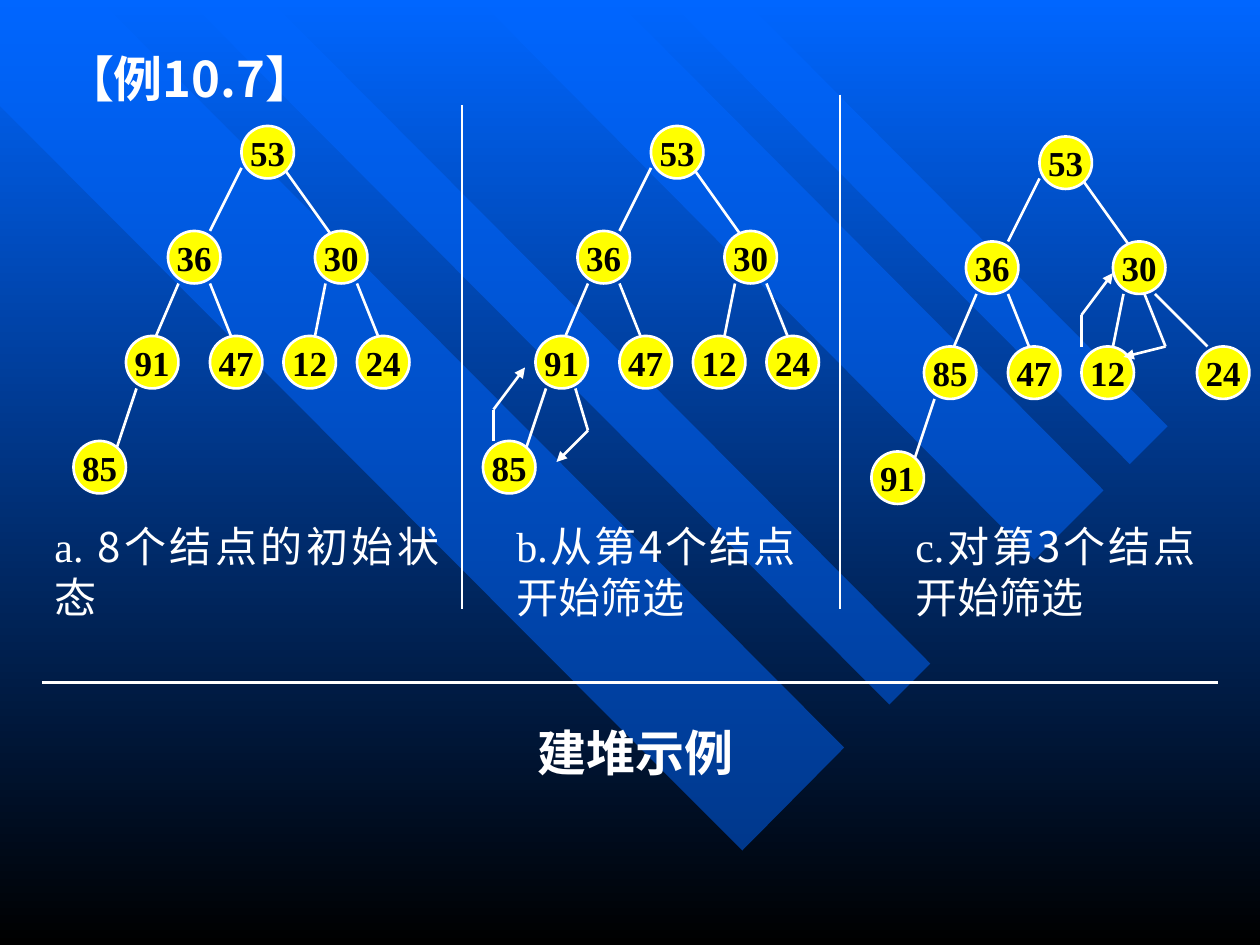
from dataclasses import dataclass
from itertools import pairwise

from lxml import etree
from pptx import Presentation
from pptx.dml.color import RGBColor
from pptx.enum.shapes import MSO_CONNECTOR, MSO_SHAPE
from pptx.enum.text import MSO_ANCHOR, MSO_AUTO_SIZE, PP_ALIGN
from pptx.oxml.ns import qn
from pptx.util import Emu, Inches, Pt

STRAIGHT = MSO_CONNECTOR.STRAIGHT
OVAL = MSO_SHAPE.OVAL
TOP, MIDDLE = MSO_ANCHOR.TOP, MSO_ANCHOR.MIDDLE
FIT = MSO_AUTO_SIZE.SHAPE_TO_FIT_TEXT
CENTER, JUSTIFY = PP_ALIGN.CENTER, PP_ALIGN.JUSTIFY
CELL = Inches(1) // 12
NODE_SIZE = 5


@dataclass(frozen=True)
class Theme:
    blue: RGBColor = RGBColor(0x00, 0x66, 0xFF)
    black: RGBColor = RGBColor(0x00, 0x00, 0x00)
    white: RGBColor = RGBColor(0xFF, 0xFF, 0xFF)
    yellow: RGBColor = RGBColor(0xFF, 0xFF, 0x00)
    heading: Pt = Pt(28)
    caption: Pt = Pt(24)
    label: Pt = Pt(20)
    stroke: Pt = Pt(1.5)
    cjk: str = "Noto Sans CJK SC"
    serif: str = "Times New Roman"


class Deck:
    def __init__(self, theme):
        self.theme = theme
        self.prs = Presentation()
        self.prs.slide_width, self.prs.slide_height = self.cells(120, 90)
        self.s = self.prs.slides.add_slide(self.prs.slide_layouts[5])

    def cells(self, *values):
        return [Emu(round(v * CELL)) for v in values]

    def background(self):
        fill = self.s.background.fill
        fill.gradient()
        fill.gradient_angle = 270
        colors = (self.theme.blue, self.theme.black)
        for stop, position, color in zip(fill.gradient_stops, (0, 1), colors):
            stop.position = position
            stop.color.rgb = color

    def ribbon(self, points):
        start, *rest = [self.cells(*point) for point in points]
        builder = self.s.shapes.build_freeform(*start, scale=1.0)
        builder.add_line_segments(rest, close=True)
        sp = builder.convert_to_shape()
        sp.shadow.inherit = False
        sp.fill.solid()
        sp.fill.fore_color.rgb = self.theme.blue
        color = sp._element.spPr.find(f"{qn('a:solidFill')}/{qn('a:srgbClr')}")
        etree.SubElement(color, qn("a:alpha"), val="50000")
        sp.line.fill.background()

    def add_run(self, p, text, font, size, color, bold=False):
        r = p.add_run()
        r.text = text
        r.font.name = font
        r.font.size = size
        r.font.bold = bold
        r.font.color.rgb = color
        latin = r.font._element.find(qn("a:latin"))
        latin.addnext(latin.makeelement(qn("a:ea"), {"typeface": font}))

    def set_text(self, sp, runs, size, align, bold=False):
        tf = sp.text_frame
        tf.word_wrap = True
        tf.auto_size = FIT
        tf.vertical_anchor = TOP
        p = tf.paragraphs[0]
        p.alignment = align
        for text, font in runs:
            self.add_run(p, text, font, size, self.theme.white, bold)

    def title(self, box, text):
        sp = self.s.shapes.title
        sp.left, sp.top, sp.width, sp.height = self.cells(*box)
        self.s.shapes._spTree.append(sp._element)
        self.set_text(sp, [(text, self.theme.cjk)], self.theme.heading, JUSTIFY, True)

    def heading(self, box, text):
        sp = self.s.shapes.add_textbox(*self.cells(*box))
        self.set_text(sp, [(text, self.theme.cjk)], self.theme.heading, CENTER, True)

    def caption(self, box, mark, text):
        sp = self.s.shapes.add_textbox(*self.cells(*box))
        runs = [(mark, self.theme.serif), (text, self.theme.cjk)]
        self.set_text(sp, runs, self.theme.caption, JUSTIFY)

    def line(self, x1, y1, x2, y2, arrow=False):
        sp = self.s.shapes.add_connector(STRAIGHT, *self.cells(x1, y1, x2, y2))
        sp.line.color.rgb = self.theme.white
        sp.line.width = self.theme.stroke
        spPr = sp._element.spPr
        if arrow:
            etree.SubElement(spPr.find(qn("a:ln")), qn("a:tailEnd"), type="triangle")
        etree.SubElement(spPr, qn("a:effectLst"))

    def bent_arrow(self, points):
        for start, end in pairwise(points):
            self.line(*start, *end, arrow=end == points[-1])

    def node(self, x, y, key):
        sp = self.s.shapes.add_shape(OVAL, *self.cells(x, y, NODE_SIZE, NODE_SIZE))
        sp.shadow.inherit = False
        sp.fill.solid()
        sp.fill.fore_color.rgb = self.theme.yellow
        sp.line.color.rgb = self.theme.white
        sp.line.width = self.theme.stroke
        tf = sp.text_frame
        tf.word_wrap = False
        tf.vertical_anchor = MIDDLE
        p = tf.paragraphs[0]
        p.alignment = CENTER
        self.add_run(p, str(key), self.theme.serif, self.theme.label, self.theme.black, True)

    def tree(self, dx, dy, keys, nodes, edges):
        for x1, y1, x2, y2 in edges:
            self.line(x1 + dx, y1 + dy, x2 + dx, y2 + dy)
        for (x, y), key in zip(nodes, keys):
            self.node(x + dx, y + dy, key)


RIBBONS = [
    [(80.4, 71.2), (9.5, 0), (0, 0), (0, 10.1), (70.7, 81)],
    [(25.7, 0), (88.6, 63.2), (84.7, 67.1), (17.9, 0)],
    [(58.7, 0), (105.1, 46.7), (98.5, 53.3), (45.6, 0)],
    [(63.6, 0), (107.6, 44.2), (111.2, 40.6), (70.9, 0)],
]
NODES = [(23, 12), (16, 22), (30, 22), (12, 32), (20, 32), (27, 32), (7, 42)]
EDGES = [(23, 16, 20, 22), (17, 27, 14, 34), (27, 16, 32, 23),
         (20, 27, 22, 32), (31, 27, 30, 32), (13, 37, 11, 43)]
LAST_NODE, WIDE_NODE = (34, 32), (38, 32)
LAST_EDGE, WIDE_EDGE = (34, 27, 36, 32), (34, 27, 39, 32)
INITIAL = [53, 36, 30, 91, 47, 12, 85, 24]
SIFTED = [53, 36, 30, 85, 47, 12, 91, 24]
TREES = [
    (0, 0, INITIAL, LAST_NODE, LAST_EDGE),
    (39, 0, INITIAL, LAST_NODE, LAST_EDGE),
    (76, 1, SIFTED, WIDE_NODE, WIDE_EDGE),
]
CAPTIONS = [
    (4, 39, "a. ", "8个结点的初始状态"),
    (48, 29, "b.", "从第4个结点开始筛选"),
    (86, 29, "c.", "对第3个结点开始筛选"),
]
DIVIDERS = [(44, 10, 44, 58), (80, 9, 80, 58), (4, 65, 116, 65)]
SWAPS = [
    [(54.8, 37), (56, 41), (53, 44)],
    [(47, 42), (47, 39), (50, 35)],
    [(109, 28), (111, 33), (107, 34)],
    [(103, 33), (103, 30), (106, 26)],
]


def main():
    deck = Deck(Theme())
    deck.background()
    for points in RIBBONS:
        deck.ribbon(points)
    deck.title((5, 4, 109, 6.8), "【例10.7】")
    for dx, dy, keys, node, edge in TREES:
        deck.tree(dx, dy, keys, NODES + [node], EDGES + [edge])
    for divider in DIVIDERS:
        deck.line(*divider)
    for x, width, mark, text in CAPTIONS:
        deck.caption((x, 49, width, 10.8), mark, text)
    deck.heading((6, 68.2, 109, 6.8), "建堆示例")
    for points in SWAPS:
        deck.bent_arrow(points)
    deck.prs.save("out.pptx")


if __name__ == "__main__":
    main()
